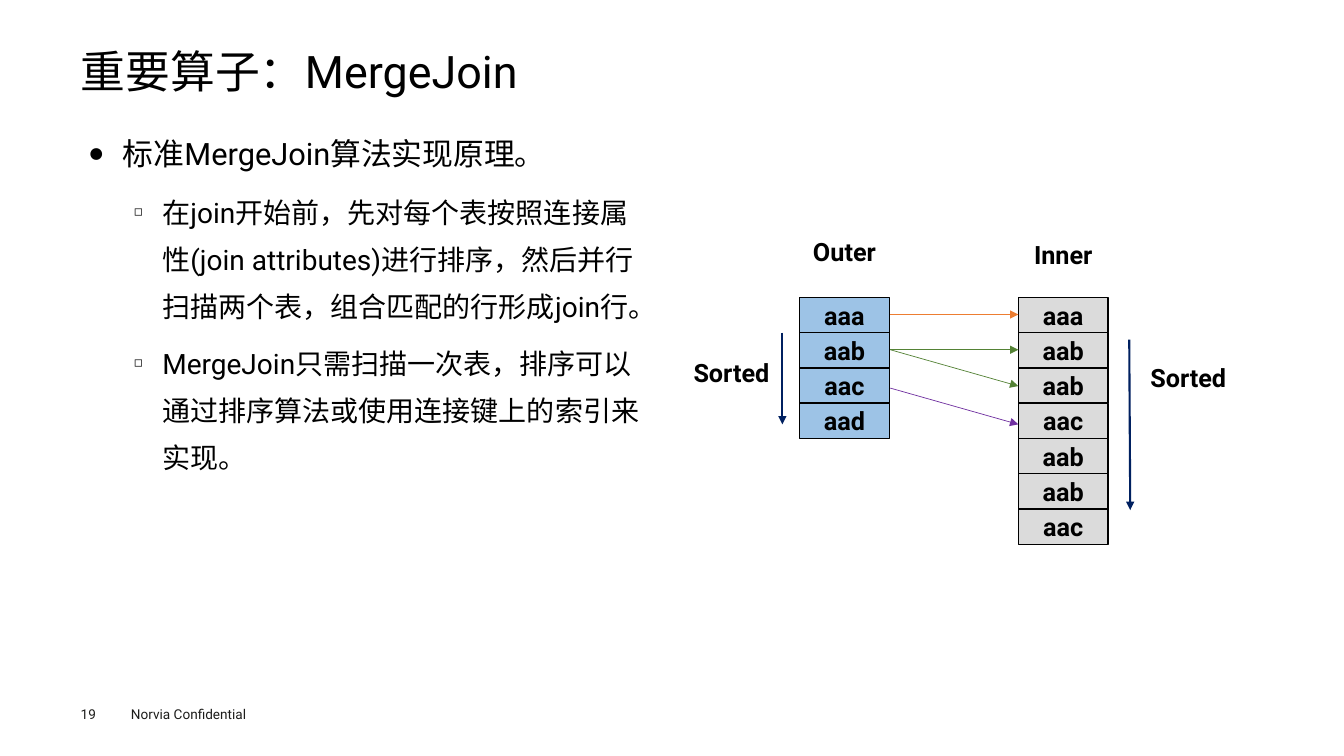
from dataclasses import dataclass
from lxml.etree import SubElement
from pptx import Presentation
from pptx.dml.color import RGBColor
from pptx.enum.shapes import MSO_CONNECTOR as CONN, MSO_SHAPE as SHAPE
from pptx.enum.text import MSO_ANCHOR as ANCHOR, PP_ALIGN as ALIGN
from pptx.oxml.ns import qn
from pptx.util import Inches, Pt

FONT = "Roboto"
COLORS = {
    "text": "000000", "footer": "1D1D1B", "outer": "9DC3E6", "inner": "DBDBDB",
    "orange": "ED7D31", "green": "548235", "purple": "7030A0", "navy": "002060",
}
CELL_W, CELL_H, ROWS_TOP = 0.89, 0.35, 2.95
OUTER_X, INNER_X = 7.93, 10.1


@dataclass
class Label:
    text: str
    x: float
    y: float
    w: float = CELL_W
    h: float = CELL_H
    size: float = 18
    color: str = "text"
    bold: bool = True
    inset: float = 0.04
    align: ALIGN = ALIGN.CENTER
    anchor: ANCHOR = ANCHOR.MIDDLE
    spacing: float = 1.0


@dataclass
class Column:
    x: float
    fill: str
    values: list[str]


@dataclass
class Arrow:
    x1: float
    y1: float
    x2: float
    y2: float
    color: str
    width: float = 0.5


@dataclass
class Bullet:
    text: str
    size: float
    level: int
    char: str
    margin: float
    indent: float
    before: float
    align: ALIGN


LABELS = [
    Label("Norvia Confidential", 1.2, 6.95, 1.6, 0.27, 9.7, "footer", False, 0.1,
          ALIGN.LEFT, ANCHOR.TOP),
    Label("19", 0.8, 7, 0.55, 0.16, 9.7, "footer", False, 0, ALIGN.LEFT, ANCHOR.TOP),
    Label("重要算子：MergeJoin", 0.8, 0.49, 11.73, 0.53, 32, "text", False, 0,
          ALIGN.LEFT, ANCHOR.TOP, 0.9),
    Label("Sorted", 6.81, 3.52),
    Label("Sorted", 11.34, 3.57),
    Label("Outer", OUTER_X, 2.32),
    Label("Inner", INNER_X, 2.35),
]
BULLETS = [
    Bullet("标准MergeJoin算法实现原理。", 22, 0, "●", 0.33, 0.33, 7.9, ALIGN.JUSTIFY),
    Bullet("在join开始前，先对每个表按照连接属性(join attributes)进行排序，"
           "然后并行扫描两个表，组合匹配的行形成join行。",
           20, 1, "◻", 0.72, 0.28, 7.2, ALIGN.LEFT),
    Bullet("MergeJoin只需扫描一次表，排序可以通过排序算法或使用连接键上的索引来实现。",
           20, 1, "◻", 0.72, 0.28, 7.2, ALIGN.LEFT),
]
COLUMNS = [
    Column(OUTER_X, "outer", ["aaa", "aab", "aac", "aad"]),
    Column(INNER_X, "inner", ["aaa", "aab", "aab", "aac", "aab", "aab", "aac"]),
]
ARROWS = [
    Arrow(8.83, 3.12, INNER_X, 3.12, "orange"),
    Arrow(8.83, 3.47, INNER_X, 3.47, "green"),
    Arrow(8.83, 3.47, INNER_X, 3.83, "green"),
    Arrow(8.83, 3.85, INNER_X, 4.21, "purple"),
    Arrow(7.76, 3.3, 7.76, 4.21, "navy", 1.5),
    Arrow(11.2, 3.37, 11.21, 5.06, "navy", 1.5),
]


def rgb(name: str) -> RGBColor:
    return RGBColor.from_string(COLORS[name])


def set_insets(tf, x: float, y: float) -> None:
    tf.word_wrap = True
    tf.margin_left = tf.margin_right = Inches(x)
    tf.margin_top = tf.margin_bottom = Inches(y)


def add_run(p, text: str, size: float, color: str = "text", bold: bool = False) -> None:
    r = p.add_run()
    r.text = text
    r.font.name, r.font.size, r.font.bold = FONT, Pt(size), bold
    r.font.color.rgb = rgb(color)


def write_label(sp, label: Label) -> None:
    tf = sp.text_frame
    set_insets(tf, label.inset, min(label.inset, 0.05))
    tf.vertical_anchor = label.anchor
    p = tf.paragraphs[0]
    p.alignment, p.line_spacing = label.align, label.spacing
    add_run(p, label.text, label.size, label.color, label.bold)


def add_label(slide, label: Label) -> None:
    box = [Inches(v) for v in (label.x, label.y, label.w, label.h)]
    write_label(slide.shapes.add_textbox(*box), label)


def add_column(slide, column: Column) -> None:
    for row, value in enumerate(column.values):
        y = ROWS_TOP + row * CELL_H
        box = [Inches(v) for v in (column.x, y, CELL_W, CELL_H)]
        sp = slide.shapes.add_shape(SHAPE.RECTANGLE, *box)
        sp.shadow.inherit = False
        sp.fill.solid()
        sp.fill.fore_color.rgb = rgb(column.fill)
        sp.line.color.rgb, sp.line.width = rgb("text"), Pt(1)
        write_label(sp, Label(value, column.x, y))


def add_arrow(slide, arrow: Arrow) -> None:
    ends = [Inches(v) for v in (arrow.x1, arrow.y1, arrow.x2, arrow.y2)]
    line = slide.shapes.add_connector(CONN.STRAIGHT, *ends)
    line.line.color.rgb, line.line.width = rgb(arrow.color), Pt(arrow.width)
    SubElement(line.line._get_or_add_ln(), qn("a:tailEnd"), type="triangle")
    SubElement(line._element.spPr, qn("a:effectLst"))


def add_bullets(slide, bullets: list[Bullet]) -> None:
    sp = slide.shapes.add_textbox(Inches(0.8), Inches(1.15), Inches(5.73), Inches(5.34))
    tf = sp.text_frame
    set_insets(tf, 0.09, 0.04)
    for i, bullet in enumerate(bullets):
        p = tf.add_paragraph() if i else tf.paragraphs[0]
        p.level, p.alignment = bullet.level, bullet.align
        p.line_spacing, p.space_before = 1.4, Pt(bullet.before)
        pPr = p._p.get_or_add_pPr()
        pPr.set("marL", str(Inches(bullet.margin)))
        pPr.set("indent", str(-Inches(bullet.indent)))
        SubElement(pPr, qn("a:buSzPct"), val="50000")
        SubElement(pPr, qn("a:buFont"), typeface=FONT)
        SubElement(pPr, qn("a:buChar"), char=bullet.char)
        add_run(p, bullet.text, bullet.size)


def main() -> None:
    """Build the MergeJoin slide and save it."""
    prs = Presentation()
    prs.slide_width, prs.slide_height = Inches(13.33), Inches(7.5)
    slide = prs.slides.add_slide(prs.slide_layouts[6])
    add_bullets(slide, BULLETS)
    for column in COLUMNS:
        add_column(slide, column)
    for arrow in ARROWS:
        add_arrow(slide, arrow)
    for label in LABELS:
        add_label(slide, label)
    prs.save("out.pptx")


if __name__ == "__main__":
    main()
